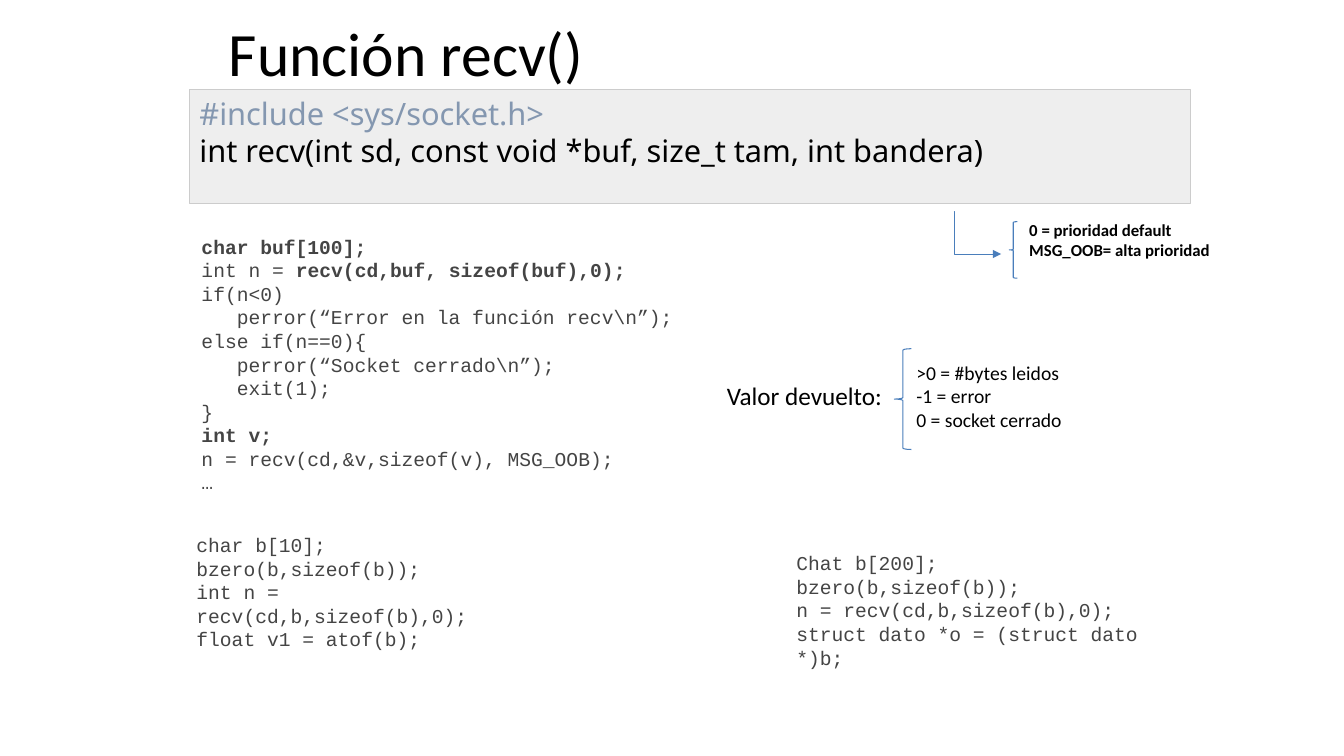
from pptx import Presentation
from pptx.dml.color import RGBColor
from pptx.enum.shapes import MSO_CONNECTOR, MSO_SHAPE
from pptx.enum.text import MSO_ANCHOR, MSO_AUTO_SIZE, PP_ALIGN
from pptx.oxml.ns import qn
from pptx.oxml.xmlchemy import OxmlElement
from pptx.util import Inches, Pt

RECTANGLE, LEFT_BRACE = MSO_SHAPE.RECTANGLE, MSO_SHAPE.LEFT_BRACE
ELBOW = MSO_CONNECTOR.ELBOW
TOP, MIDDLE = MSO_ANCHOR.TOP, MSO_ANCHOR.MIDDLE
LEFT = PP_ALIGN.LEFT
NO_AUTOFIT = MSO_AUTO_SIZE.NONE

BODY, CODE, SIGNATURE = "Calibri", "Courier New", "Noto Sans"
BLACK, CODE_GRAY, BRACE_BLUE = "000000", "444444", "4A7EBB"
CODE_INDENT = Inches(0.35)

RECV_CODE = [
    "char buf[100];",
    "int n = recv(cd,buf, sizeof(buf),0);",
    "if(n<0)",
    r"perror(“Error en la función recv\n”);",
    "else if(n==0){",
    r"perror(“Socket cerrado\n”);",
    "exit(1);",
    "}",
    "int v;",
    "n = recv(cd,&v,sizeof(v), MSG_OOB);",
    "…",
]
INDENTED_LINES = (3, 5, 6)
DECLARATION_LINES = (0, 8)
FLOAT_CODE = [
    "char b[10];",
    "bzero(b,sizeof(b));",
    "int n = recv(cd,b,sizeof(b),0);",
    "float v1 = atof(b);",
]
STRUCT_CODE = [
    "Chat b[200];",
    "bzero(b,sizeof(b));",
    "n = recv(cd,b,sizeof(b),0);",
    "struct dato *o = (struct dato *)b;",
]


def color(value):
    return RGBColor.from_string(value)


def style(paragraph, font, size, ink=BLACK, bold=False):
    paragraph.alignment = LEFT
    paragraph.font.name = font
    paragraph.font.size = Pt(size)
    paragraph.font.bold = bold
    paragraph.font.color.rgb = color(ink)


def write(frame, lines, font, size, ink=BLACK, bold=False):
    frame.word_wrap = True
    frame.auto_size = NO_AUTOFIT
    frame.vertical_anchor = TOP
    for index, line in enumerate(lines):
        paragraph = frame.paragraphs[0] if index == 0 else frame.add_paragraph()
        paragraph.text = line
        style(paragraph, font, size, ink, bold)
    return frame.paragraphs


def add_text(slide, left, top, width, height, lines, font, size, ink=BLACK, bold=False):
    box = slide.shapes.add_textbox(Inches(left), Inches(top), Inches(width), Inches(height))
    return write(box.text_frame, lines, font, size, ink, bold)


def add_brace(slide, left, top, width, height):
    brace = slide.shapes.add_shape(
        LEFT_BRACE, Inches(left), Inches(top), Inches(width), Inches(height))
    brace.adjustments[0] = 0.083
    brace.shadow.inherit = False
    brace.fill.background()
    brace.line.color.rgb = color(BRACE_BLUE)
    brace.line.width = Pt(0.75)


def add_flag_arrow(slide, left, top, width, height):
    arrow = slide.shapes.add_connector(
        ELBOW, Inches(left), Inches(top), Inches(left + width), Inches(top + height))
    arrow.line.color.rgb = color(BRACE_BLUE)
    arrow.line.width = Pt(0.75)
    properties = arrow._element.spPr
    bend = OxmlElement("a:gd")
    bend.set("name", "adj1")
    bend.set("fmla", "val 1200")
    properties.find(qn("a:prstGeom")).find(qn("a:avLst")).append(bend)
    head = OxmlElement("a:tailEnd")
    head.set("type", "triangle")
    properties.find(qn("a:ln")).append(head)
    properties.append(OxmlElement("a:effectLst"))


def add_title(slide, left, top, width, height):
    title = slide.shapes.title
    title.left, title.top = Inches(left), Inches(top)
    title.width, title.height = Inches(width), Inches(height)
    heading = write(title.text_frame, ["Función recv()"], BODY, 44)[0]
    title.text_frame.vertical_anchor = MIDDLE
    heading.line_spacing = 0.9


def add_signature(slide, left, top, width, height):
    panel = slide.shapes.add_shape(
        RECTANGLE, Inches(left), Inches(top), Inches(width), Inches(height))
    panel.shadow.inherit = False
    panel.fill.solid()
    panel.fill.fore_color.rgb = color("EEEEEE")
    panel.line.color.rgb = color("CCCCCC")
    panel.line.width = Pt(0.75)
    include, prototype = write(panel.text_frame, [
        "#include <sys/socket.h>",
        "int recv(int sd, const void *buf, size_t tam, int bandera)",
    ], SIGNATURE, 22)
    include.font.color.rgb = color("8497B0")


def add_return_values(slide, left, top):
    add_text(slide, left, top + 0.26, 1.92, 1, ["Valor devuelto:"], BODY, 18)
    add_brace(slide, left + 1.76, top, 0.17, 1)
    add_text(slide, left + 1.88, top + 0.07, 2.36, 1.6,
             [">0 = #bytes leidos", "-1 = error", "0 = socket cerrado"], BODY, 14)


def add_flag_values(slide, left, top):
    add_flag_arrow(slide, left, top, 0.47, 0.42)
    add_brace(slide, left + 0.55, top + 0.1, 0.08, 0.56)
    add_text(slide, left + 0.65, top + 0.03, 2.36, 1.03,
             ["0 = prioridad default", "MSG_OOB= alta prioridad"], BODY, 12, bold=True)


def add_recv_example(slide, left, top, width, height):
    code = add_text(slide, left, top, width, height, RECV_CODE, CODE, 14, CODE_GRAY)
    for index in INDENTED_LINES:
        code[index]._p.get_or_add_pPr().set("marL", str(CODE_INDENT))
    for index in DECLARATION_LINES:
        code[index].font.bold = True
    call = code[1].runs[0]
    assignment, name, arguments = call.text.partition("recv")
    call.text = assignment
    bold_call = code[1].add_run()
    bold_call.text = name + arguments
    bold_call.font.bold = True


def main():
    presentation = Presentation()
    presentation.slide_width = Inches(13.33)
    presentation.slide_height = Inches(7.5)
    slide = presentation.slides.add_slide(presentation.slide_layouts.get_by_name("Title Only"))
    add_title(slide, 2.17, 0.3, 9, 0.53)
    add_signature(slide, 1.88, 0.89, 9.93, 1.13)
    add_return_values(slide, 7.11, 3.46)
    add_recv_example(slide, 1.9, 2.28, 5.48, 2.96)
    add_flag_values(slide, 9.46, 2.1)
    add_text(slide, 1.85, 5.24, 3.58, 1.42, FLOAT_CODE, CODE, 14, CODE_GRAY)
    add_text(slide, 7.8, 5.42, 4.16, 1.2, STRUCT_CODE, CODE, 14, CODE_GRAY)
    presentation.save("out.pptx")


if __name__ == "__main__":
    main()
